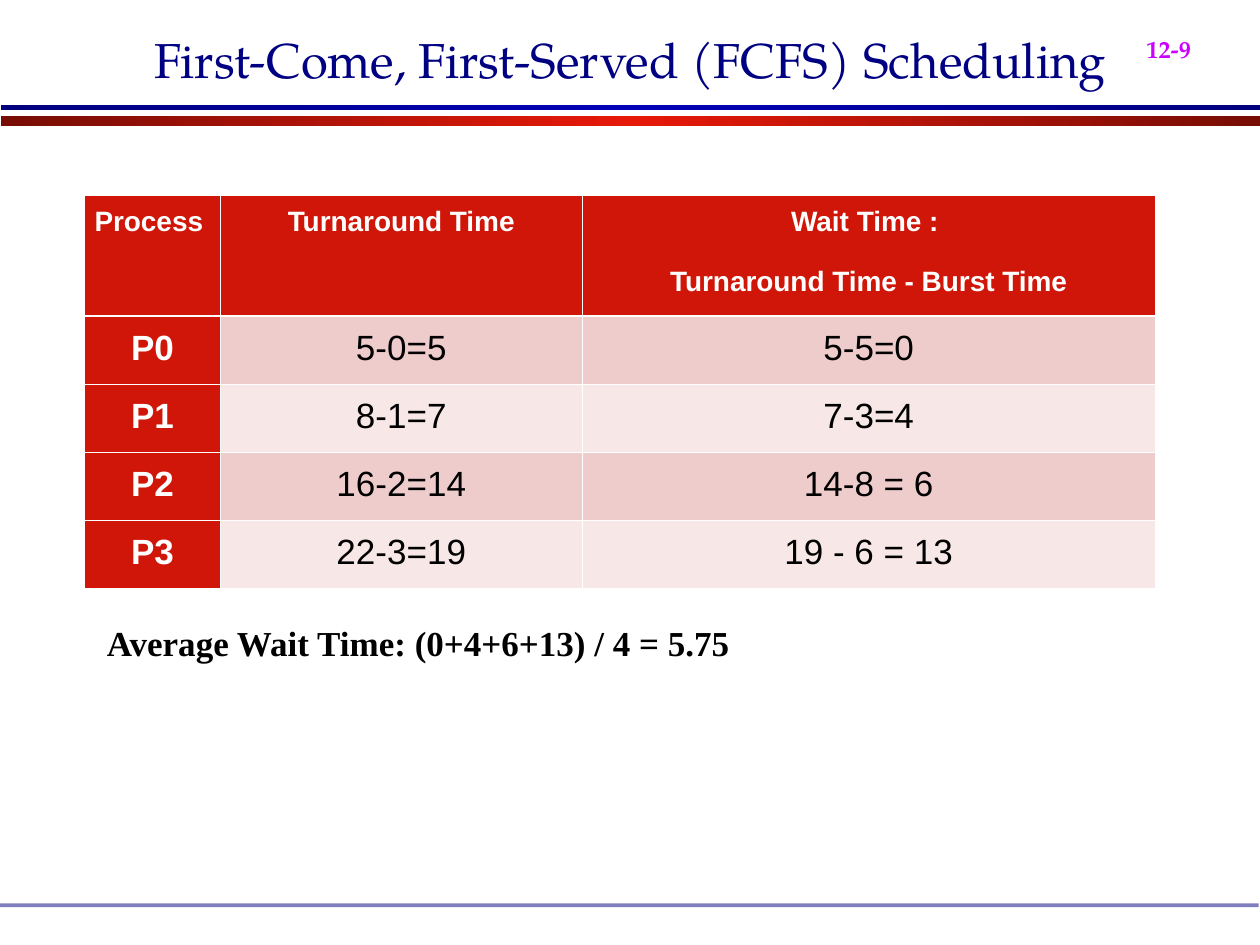
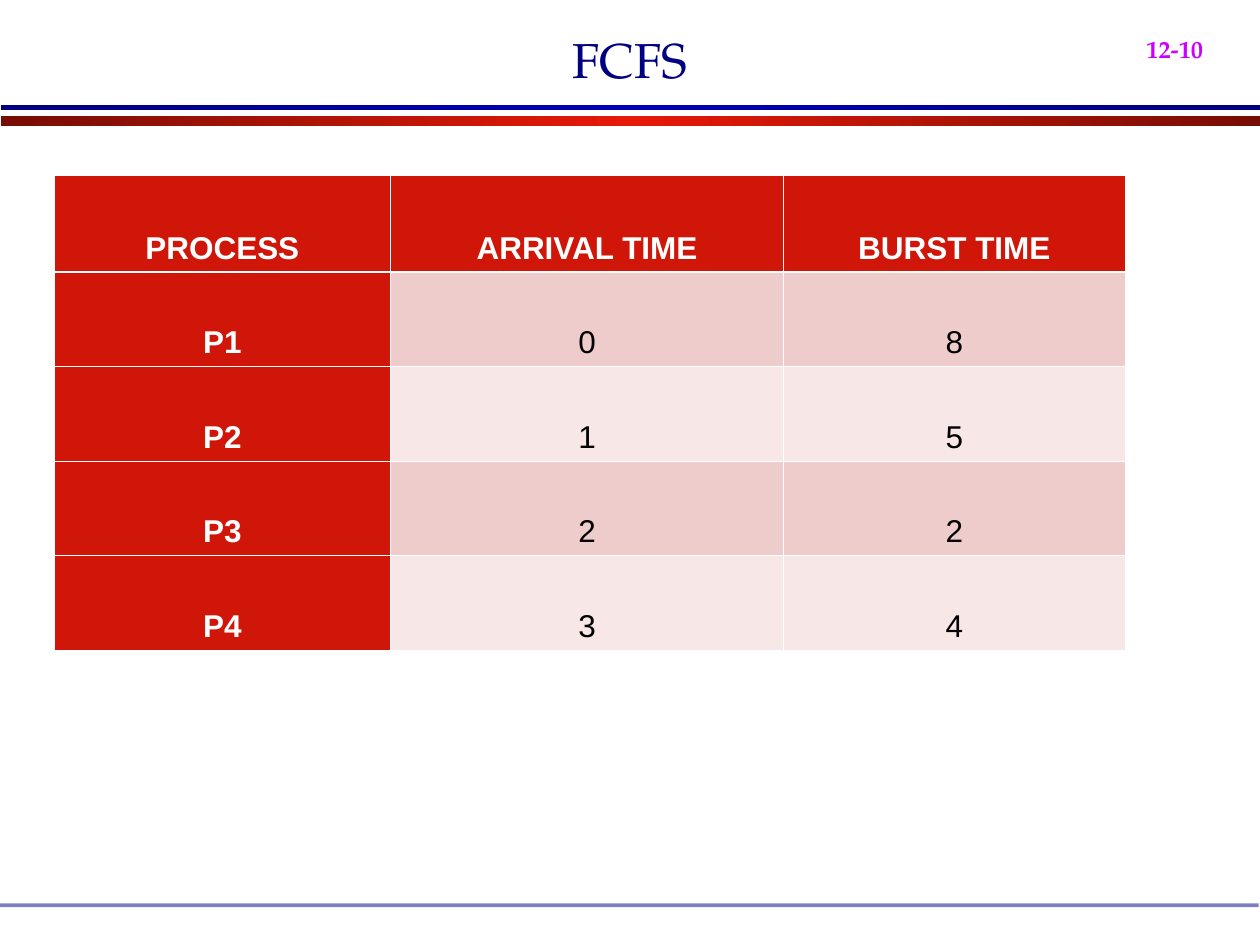
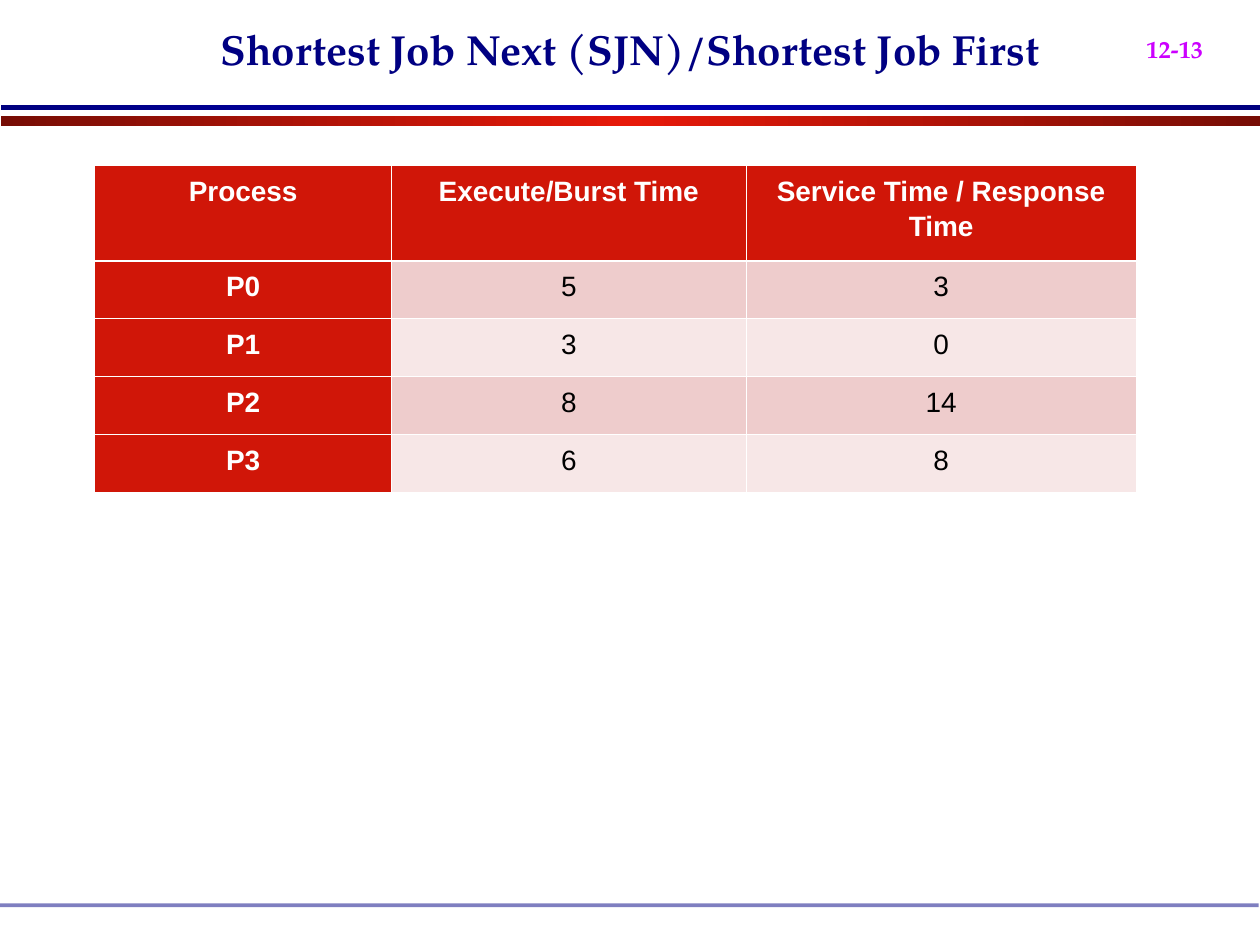
from copy import deepcopy

from lxml.etree import SubElement
from pptx import Presentation
from pptx.dml.color import RGBColor
from pptx.enum.shapes import MSO_SHAPE
from pptx.enum.text import MSO_ANCHOR, MSO_AUTO_SIZE, PP_ALIGN
from pptx.oxml.ns import qn
from pptx.util import Inches, Pt

NAVY = RGBColor(0x00, 0x00, 0x82)
BLUE_EDGE = RGBColor(0x00, 0x00, 0x7F)
BLUE_MID = RGBColor(0x00, 0x00, 0xB6)
RED_EDGE = RGBColor(0x77, 0x0D, 0x05)
RED_MID = RGBColor(0xE7, 0x19, 0x09)
RED = RGBColor(0xD0, 0x16, 0x08)
PINK = RGBColor(0xEE, 0xCC, 0xCC)
PALE = RGBColor(0xF7, 0xE7, 0xE7)
MAGENTA = RGBColor(0xCC, 0x00, 0xFF)
BLACK = RGBColor(0x00, 0x00, 0x00)
WHITE = RGBColor(0xFF, 0xFF, 0xFF)

SERIF, SANS, ROMAN = "TeX Gyre Pagella", "Arial", "Times New Roman"
THIN, THICK = 0.45, 1.47
SPACED = dict(line_spacing=1.15, after=13.6)

SLIDES = [
    dict(
        number="12-9",
        title="First-Come, First-Served (FCFS) Scheduling",
        table=dict(
            at=(0.67, 1.55), cols=(1.08, 2.87, 4.55), row_heights=(0.96, 0.54),
            sizes=(16, 20), left_cells=[(0, 0)], format=SPACED,
            rows=[
                ("Process", "Turnaround Time", "Wait Time : \nTurnaround Time - Burst Time"),
                ("P0", "5-0=5", "5-5=0"),
                ("P1", "8-1=7", "7-3=4"),
                ("P2", "16-2=14", "14-8 = 6"),
                ("P3", "22-3=19", "19 - 6 = 13"),
            ],
        ),
        note="Average Wait Time: (0+4+6+13) / 4 = 5.75",
    ),
    dict(
        number="12-10",
        title="FCFS",
        table=dict(
            at=(0.43, 1.39), cols=(2.67, 3.12, 2.71), row_heights=(0.77, 0.75),
            sizes=(18, 18), format=dict(line_spacing=2.0, anchor=MSO_ANCHOR.BOTTOM),
            rows=[
                ("PROCESS", "ARRIVAL TIME", "BURST TIME"),
                ("P1", "0", "8"),
                ("P2", "1", "5"),
                ("P3", "2", "2"),
                ("P4", "3", "4"),
            ],
        ),
    ),
    dict(
        number="12-13",
        title="Shortest Job Next (SJN)/Shortest Job First",
        title_format=dict(size=24, bold=True),
        title_top=0.28,
        title_bottom_inset=0.44,
        table=dict(
            at=(0.75, 1.31), cols=(2.36, 2.81, 3.1), row_heights=(0.76, 0.46),
            sizes=(16, 16), format=SPACED,
            rows=[
                ("Process", "Execute/Burst Time", "Service Time / Response Time"),
                ("P0", "5", "3"),
                ("P1", "3", "0"),
                ("P2", "8", "14"),
                ("P3", "6", "8"),
            ],
        ),
    ),
]


def write(tf, text, size=20, font=SANS, color=BLACK, bold=False, align=PP_ALIGN.LEFT,
          anchor=MSO_ANCHOR.TOP, line_spacing=None, after=None, baseline=None):
    tf.word_wrap = True
    tf.vertical_anchor = anchor
    for i, line in enumerate(text.split("\n")):
        p = tf.add_paragraph() if i else tf.paragraphs[0]
        p.alignment = align
        p.line_spacing = line_spacing
        p.space_after = None if after is None else Pt(after)
        r = p.add_run()
        r.text = line
        f = r.font
        f.size, f.name, f.bold = Pt(size), font, bold
        f.color.rgb = color
        if baseline:
            r.font._element.set("baseline", str(baseline * 1000))


def add_text(s, text, x, y, w, h, **fmt):
    tf = s.shapes.add_textbox(Inches(x), Inches(y), Inches(w), Inches(h)).text_frame
    write(tf, text, **fmt)


def add_band(s, x, y, h, edge, middle=None, alpha=None):
    sp = s.shapes.add_shape(MSO_SHAPE.RECTANGLE, Inches(x), Inches(y), Inches(9.99), Inches(h))
    sp.shadow.inherit = False
    sp.line.fill.background()
    if middle is None:
        sp.fill.solid()
        sp.fill.fore_color.rgb = edge
    else:
        sp.fill.gradient()
        sp.fill.gradient_angle = 0
        stops = next(sp.element.iter(qn("a:gsLst")))
        stops.insert(1, deepcopy(stops[0]))
        for stop, color, position in zip(sp.fill.gradient_stops, (edge, middle, edge), (0, 0.5, 1)):
            stop.color.rgb = color
            stop.position = position
    if alpha:
        clr = next(sp.element.spPr.iter(qn("a:srgbClr")))
        SubElement(clr, qn("a:alpha"), val=str(alpha * 1000))
    return sp


def add_bands_to_layout(s, layout):
    for ph in list(layout.placeholders)[1:]:
        ph.element.getparent().remove(ph.element)
    bands = [
        add_band(s, 0.01, 0.92, 0.08, RED_EDGE, RED_MID),
        add_band(s, 0.01, 0.83, 0.04, BLUE_EDGE, BLUE_MID),
        add_band(s, 0, 7.17, 0.03, NAVY, alpha=50),
    ]
    for sp in bands:
        layout.shapes.element.append(sp.element)


def set_borders(cell, **widths):
    tc_pr = cell._tc.get_or_add_tcPr()
    for side in "LRTB":
        ln = SubElement(tc_pr, qn(f"a:ln{side}"), w=str(Pt(widths.get(side, THIN))))
        fill = SubElement(ln, qn("a:solidFill"))
        SubElement(fill, qn("a:srgbClr"), val=str(WHITE))


def add_grid(s, at, cols, row_heights, sizes, rows, format, left_cells=()):
    head_h, body_h = row_heights
    heights = [head_h] + [body_h] * (len(rows) - 1)
    table = s.shapes.add_table(len(rows), len(cols), Inches(at[0]), Inches(at[1]),
                               Inches(sum(cols)), Inches(sum(heights))).table
    table.horz_banding = False
    for column, w in zip(table.columns, cols):
        column.width = Inches(w)
    for row, h in zip(table.rows, heights):
        row.height = Inches(h)
    for i, row in enumerate(rows):
        for j, text in enumerate(row):
            cell = table.cell(i, j)
            heading = i == 0 or j == 0
            set_borders(cell, T=THICK if i == 1 else THIN, B=THICK if i == 0 else THIN)
            cell.fill.solid()
            cell.fill.fore_color.rgb = RED if heading else (PINK if i % 2 else PALE)
            cell.margin_left = cell.margin_right = Inches(0.08)
            cell.vertical_anchor = format.get("anchor", MSO_ANCHOR.TOP)
            write(cell.text_frame, text, size=sizes[i > 0], bold=heading,
                  color=WHITE if heading else BLACK,
                  align=PP_ALIGN.LEFT if (i, j) in left_cells else PP_ALIGN.CENTER,
                  **{k: v for k, v in format.items() if k != "anchor"})


def add_title(s, text, top=0, bottom_inset=0.05, **fmt):
    title = s.shapes.title
    title.left, title.top, title.width, title.height = map(Inches, (0.75, top, 8.5, 0.75))
    tf = title.text_frame
    tf.auto_size = MSO_AUTO_SIZE.NONE
    tf.margin_bottom = Inches(bottom_inset)
    write(tf, text, **{**dict(size=28, font=SERIF, color=NAVY, align=PP_ALIGN.CENTER,
                              anchor=MSO_ANCHOR.BOTTOM), **fmt})


def main():
    prs = Presentation()
    prs.slide_width, prs.slide_height = Inches(10), Inches(7.5)
    layout = prs.slide_layouts[5]
    for i, content in enumerate(SLIDES):
        s = prs.slides.add_slide(layout)
        if i == 0:
            add_bands_to_layout(s, layout)
        add_title(s, content["title"], content.get("title_top", 0),
                  content.get("title_bottom_inset", 0.05), **content.get("title_format", {}))
        add_text(s, content["number"], 9, 0, 1.08, 0.56, size=24, font=SERIF,
                 color=MAGENTA, bold=True, baseline=-25)
        add_grid(s, **content["table"])
        if "note" in content:
            add_text(s, content["note"], 0.75, 4.88, 5.51, 0.44, font=ROMAN, bold=True)
    prs.save("out.pptx")


if __name__ == "__main__":
    main()
